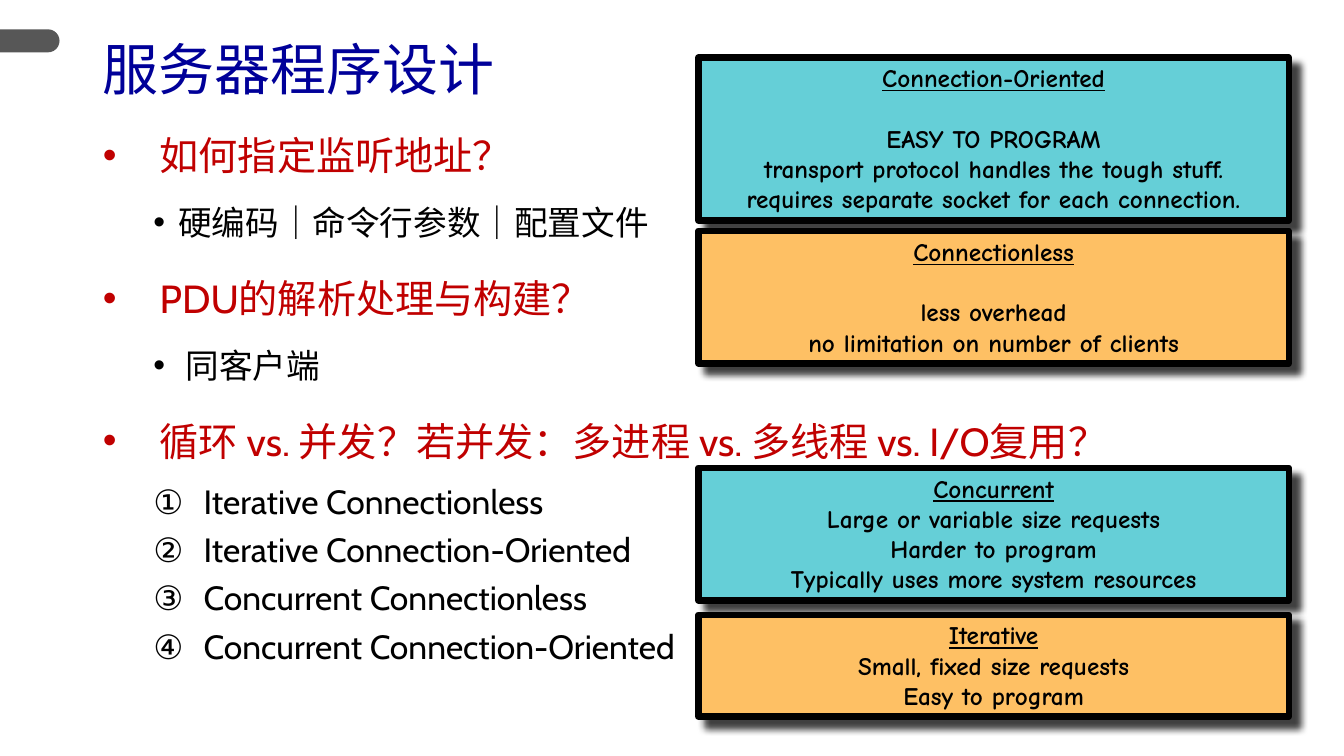
from lxml import etree
from pptx import Presentation
from pptx.dml.color import RGBColor
from pptx.enum.shapes import MSO_SHAPE as Preset
from pptx.enum.text import MSO_ANCHOR as Anchor, MSO_AUTO_SIZE as AutoSize, PP_ALIGN as Align
from pptx.oxml.ns import qn
from pptx.util import Cm, Pt

COLORS = {
    "title": "000099", "question": "C00000", "text": "000000",
    "teal": "65CFD7", "orange": "FEC064", "tab": "575757",
}
QUESTION = {"level": 0, "size": 28, "color": "question", "margin": 1.43, "indent": -1.43,
            "before": 10, "after": 6, "bullet": ("a:buChar", {"char": "•"})}
ANSWER = {**QUESTION, "level": 1, "size": 24, "color": "text", "margin": 1.9, "indent": -0.63,
          "before": 5}
WIDE_ANSWER = {**ANSWER, "margin": 2.08, "indent": -0.81}
SERVER_TYPE = {**ANSWER, "margin": 2.54, "indent": -1.27, "before": 0, "after": 0,
               "bullet": ("a:buAutoNum", {"type": "circleNumDbPlain"})}

OUTLINE = [
    (QUESTION, "如何指定监听地址？"),
    (ANSWER, "硬编码｜命令行参数｜配置文件"),
    (QUESTION, "PDU的解析处理与构建？"),
    (WIDE_ANSWER, "同客户端"),
    (QUESTION, "循环 vs. 并发？若并发：多进程 vs. 多线程 vs. I/O复用？"),
    (SERVER_TYPE, "Iterative Connectionless"),
    (SERVER_TYPE, "Iterative Connection-Oriented"),
    (SERVER_TYPE, "Concurrent Connectionless"),
    (SERVER_TYPE, "Concurrent Connection-Oriented"),
]

# top in cm, fill, lines of space below the heading, heading, points
CARDS = [
    (15.49, "orange", 0, "Iterative", ["Small, fixed size requests", "Easy to program"]),
    (11.79, "teal", 0, "Concurrent", ["Large or variable size requests", "Harder to program",
                                      "Typically uses more system resources"]),
    (1.45, "teal", 1, "Connection-Oriented", ["EASY TO PROGRAM",
                                              "transport protocol handles the tough stuff.",
                                              "requires separate socket for each connection."]),
    (5.82, "orange", 1, "Connectionless", ["less overhead", "no limitation on number of clients"]),
]
CARD_LINE, CARD_PADDING = 0.77, 0.26


def assign(target, values):
    for name, value in values.items():
        setattr(target, name, value)


def rgb(name):
    return RGBColor.from_string(COLORS[name])


class ServerSlide:
    """Holds the fonts and the current slide; each method adds one kind of element."""

    title_font, body_font, card_font = "Arial", "Cabin", "Comic Neue"

    def __init__(self, deck):
        self.slide = deck.slides.add_slide(deck.slide_layouts[1])

    def style(self, paragraph, color, **font):
        assign(paragraph.font, font)
        paragraph.font.color.rgb = rgb(color)

    def place(self, shape, left, top, width, height):
        assign(shape, {"left": Cm(left), "top": Cm(top), "width": Cm(width), "height": Cm(height)})

    def title(self, wording):
        heading = self.slide.shapes.title
        self.place(heading, 2.34, 0.74, 26.21, 2.18)
        assign(heading.text_frame, {"text": wording, "vertical_anchor": Anchor.MIDDLE,
                                    "auto_size": AutoSize.NONE})
        line = heading.text_frame.paragraphs[0]
        assign(line, {"alignment": Align.LEFT, "line_spacing": 0.9})
        self.style(line, "title", name=self.title_font, size=Pt(40))

    def outline(self, entries):
        body = self.slide.placeholders[1]
        self.place(body, 2.34, 2.95, 29.21, 15.62)
        frame = body.text_frame
        assign(frame, {"text": "\n".join(wording for _, wording in entries),
                       "vertical_anchor": Anchor.TOP, "auto_size": AutoSize.NONE})
        for number, (entry, (kind, _)) in enumerate(zip(frame.paragraphs, entries)):
            entry.level = kind["level"]
            properties = entry._p.get_or_add_pPr()
            properties.set("marL", str(Cm(kind["margin"])))
            properties.set("indent", str(Cm(kind["indent"])))
            tag, attributes = kind["bullet"]
            etree.SubElement(properties, qn(tag), attributes)
            assign(entry, {"alignment": Align.JUSTIFY, "line_spacing": 1.2,
                           "space_before": Pt(kind["before"] if number else 0),
                           "space_after": Pt(kind["after"])})
            self.style(entry, kind["color"], name=self.body_font, size=Pt(kind["size"]))

    def preset(self, kind, fill, left, top, width, height):
        shape = self.slide.shapes.add_shape(kind, Cm(left), Cm(top), Cm(width), Cm(height))
        shape.shadow.inherit = False
        shape.fill.solid()
        shape.fill.fore_color.rgb = rgb(fill)
        shape.line.fill.background()
        return shape

    def edge_tab(self):
        tab = self.preset(Preset.ROUND_2_SAME_RECTANGLE, "tab", 0.46, 0.28, 0.58, 1.5)
        tab.adjustments[0] = 0.5
        tab.rotation = 90

    def drop_shadow(self, shape):
        effects = shape._element.spPr.find(qn("a:effectLst"))
        shadow = etree.SubElement(effects, qn("a:outerShdw"), {
            "blurRad": str(Pt(5)), "dist": str(Pt(8.5)), "dir": str(45 * 60000),
            "algn": "tl", "rotWithShape": "0"})
        tint = etree.SubElement(shadow, qn("a:srgbClr"), val=COLORS["text"])
        etree.SubElement(tint, qn("a:alpha"), val="75000")

    def card(self, top, fill, gap_lines, heading, points):
        height = CARD_PADDING + CARD_LINE * (1 + gap_lines + len(points))
        card = self.preset(Preset.RECTANGLE, fill, 17.6, top, 14.88, height)
        card.line.color.rgb = rgb("text")
        card.line.width = Pt(4.5)
        self.drop_shadow(card)
        frame = card.text_frame
        assign(frame, {"text": "\n".join([heading, *points]), "word_wrap": True,
                       "vertical_anchor": Anchor.TOP, "auto_size": AutoSize.SHAPE_TO_FIT_TEXT})
        for number, line in enumerate(frame.paragraphs):
            line.alignment = Align.CENTER
            self.style(line, "text", name=self.card_font, size=Pt(18), bold=True,
                       underline=number == 0)
        frame.paragraphs[0].space_after = Cm(CARD_LINE * gap_lines)


def main():
    deck = Presentation()
    assign(deck, {"slide_width": Cm(33.87), "slide_height": Cm(19.05)})
    page = ServerSlide(deck)
    page.edge_tab()
    page.title("服务器程序设计")
    page.outline(OUTLINE)
    for card in CARDS:
        page.card(*card)
    deck.save("out.pptx")


if __name__ == "__main__":
    main()
